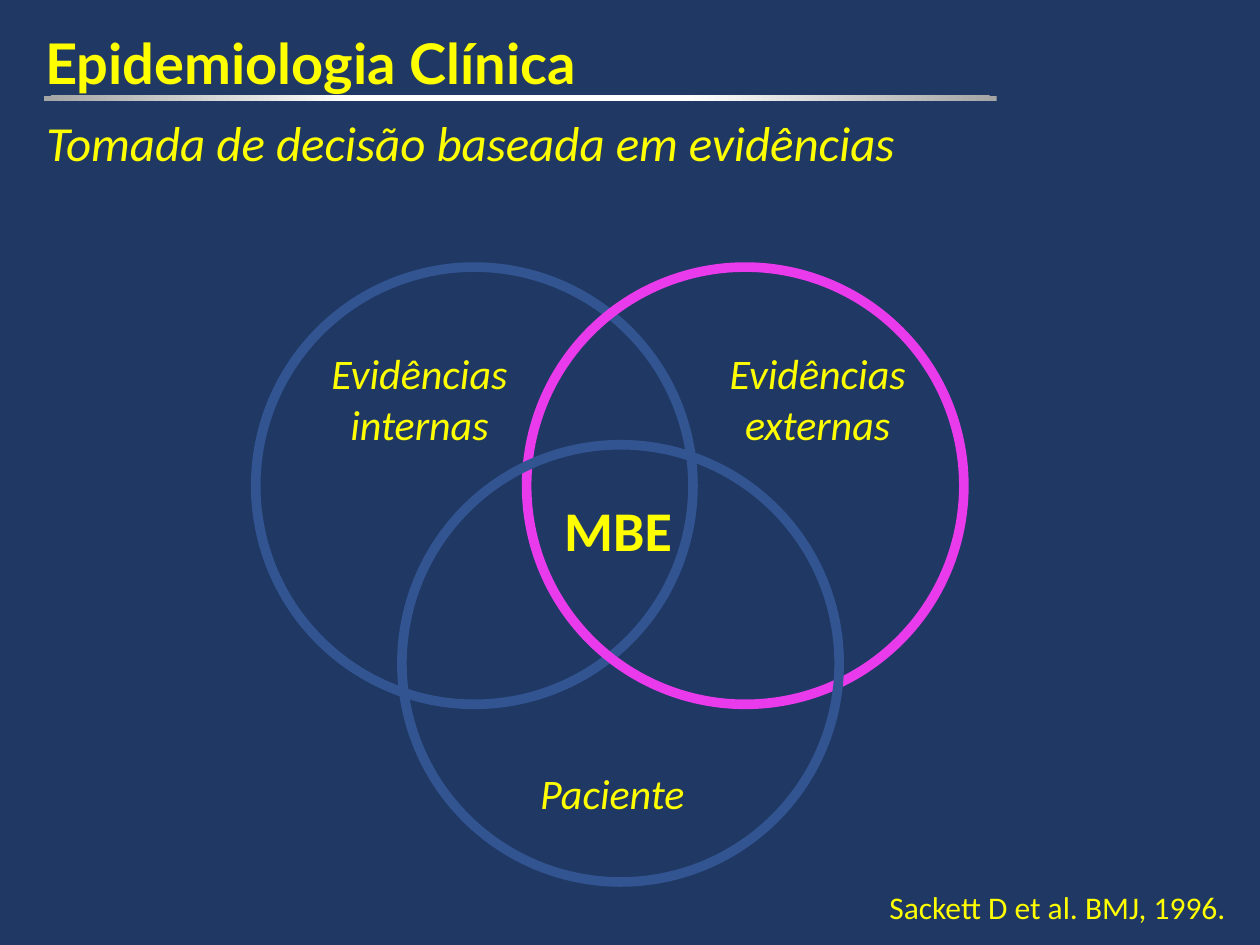
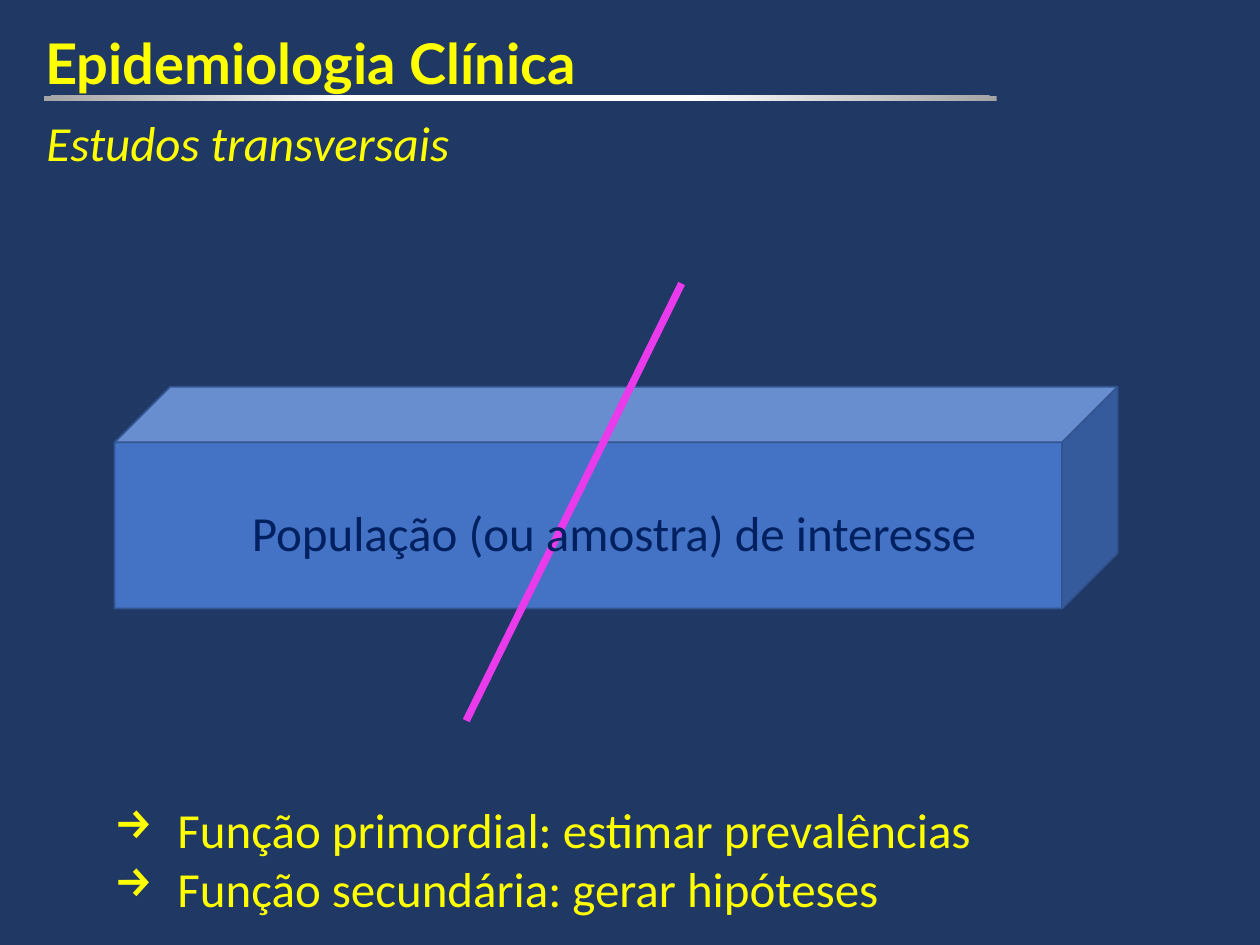
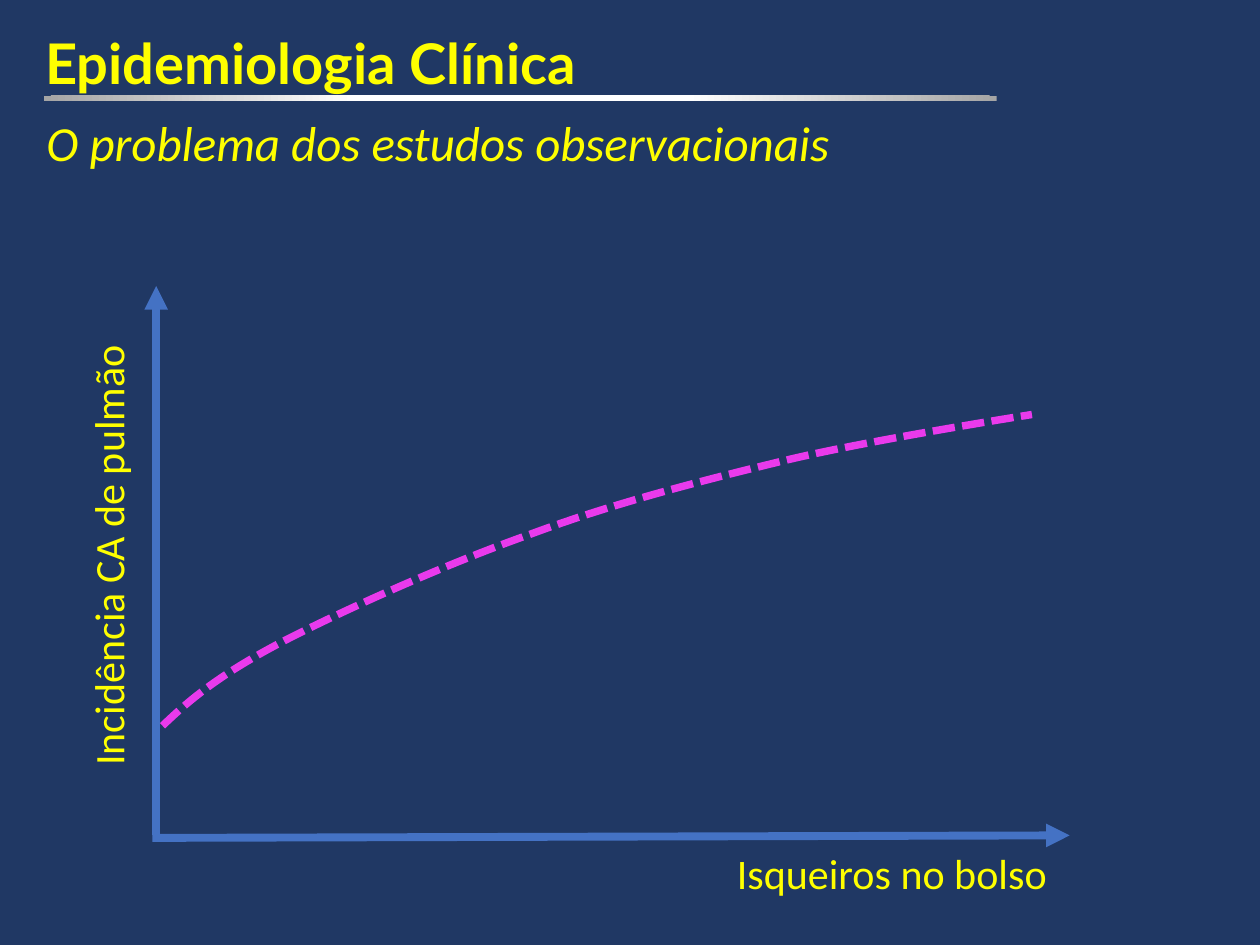
from lxml.etree import SubElement
from pptx import Presentation
from pptx.dml.color import RGBColor
from pptx.enum.dml import MSO_LINE
from pptx.enum.shapes import MSO_CONNECTOR, MSO_SHAPE
from pptx.enum.text import MSO_ANCHOR, MSO_AUTO_SIZE, PP_ALIGN
from pptx.oxml import parse_xml
from pptx.oxml.ns import nsdecls, qn
from pptx.util import Inches, Pt

COLORS = {
    "background": "203864",
    "text": "FFFF00",
    "outline": "325491",
    "accent": "E93AEC",
    "blue": "4472C4",
    "navy": "002060",
    "white": "FFFFFF",
    "gray": "A5A5A5",
}
TITLE_FONT, BODY_FONT = "Lato", "Calibri"
TITLE_ONLY = 5
COLUMNS = 100
COURSE = "Epidemiologia Clínica"


def rgb(name):
    return RGBColor.from_string(COLORS[name])


class Deck:
    def __init__(self):
        self.presentation = Presentation()
        self.presentation.slide_width = Inches(10)
        self.presentation.slide_height = Inches(7.5)
        self.cell = self.presentation.slide_width / COLUMNS
        backdrop = self.presentation.slide_master.background.fill
        backdrop.solid()
        backdrop.fore_color.rgb = rgb("background")
        self.slide = None

    def grid(self, *cells):
        return [round(cell * self.cell) for cell in cells]

    def start_slide(self, topic, topic_width):
        layout = self.presentation.slide_layouts[TITLE_ONLY]
        self.slide = self.presentation.slides.add_slide(layout)
        title = self.slide.shapes.title
        title.left, title.top, title.width, title.height = self.grid(2.6, 1.8, 97.3, 14.2)
        frame = title.text_frame
        frame.text = COURSE
        frame.auto_size = MSO_AUTO_SIZE.NONE
        frame.vertical_anchor = MSO_ANCHOR.TOP
        self.format_text(frame, 32, font=TITLE_FONT, bold=True)
        self.title_rule()
        self.text(topic, (2.7, 8.4, topic_width, 5.7), 28, italic=True)

    def title_rule(self):
        rule = self.shape(MSO_SHAPE.RECTANGLE, (3.5, 7.6, 75.6, 0.4))
        stops = "".join(
            f'<a:gs pos="{position}"><a:srgbClr val="{COLORS[color]}"/></a:gs>'
            for position, color in ((0, "white"), (35000, "white"), (100000, "gray"))
        )
        gradient = parse_xml(
            f'<a:gradFill {nsdecls("a")} rotWithShape="1"><a:gsLst>{stops}</a:gsLst>'
            '<a:path path="circle"><a:fillToRect l="50000" t="-80000" r="50000" b="180000"/>'
            "</a:path></a:gradFill>"
        )
        properties = rule._element.spPr
        properties.replace(properties.find(qn("a:noFill")), gradient)

    def format_text(self, frame, size, color="text", font=BODY_FONT,
                    bold=False, italic=False, align=PP_ALIGN.LEFT):
        for paragraph in frame.paragraphs:
            paragraph.alignment = align
            for run in paragraph.runs:
                run.font.name = font
                run.font.size = Pt(size)
                run.font.bold = bold
                run.font.italic = italic
                run.font.color.rgb = rgb(color)

    def text(self, words, area, size, rotation=0, bullet=None, **style):
        box = self.slide.shapes.add_textbox(*self.grid(*area))
        box.rotation = rotation
        frame = box.text_frame
        frame.text = words
        frame.word_wrap = False
        frame.auto_size = MSO_AUTO_SIZE.SHAPE_TO_FIT_TEXT
        if bullet:
            self.add_bullets(frame, bullet)
        self.format_text(frame, size, **style)

    def add_bullets(self, frame, bullet):
        indent = Inches(0.5)
        for paragraph in frame.paragraphs:
            properties = paragraph._p.get_or_add_pPr()
            properties.set("marL", str(indent))
            properties.set("indent", str(-indent))
            SubElement(properties, qn("a:buChar")).set("char", bullet)

    def format_line(self, line, color, width):
        line.color.rgb = rgb(color)
        line.width = Pt(width)

    def shape(self, kind, area, fill=None, outline=None, width=1):
        shape = self.slide.shapes.add_shape(kind, *self.grid(*area))
        shape.shadow.inherit = False
        if fill:
            shape.fill.solid()
            shape.fill.fore_color.rgb = rgb(fill)
        else:
            shape.fill.background()
        if outline:
            self.format_line(shape.line, outline, width)
        else:
            shape.line.fill.background()
        return shape

    def line(self, start, end, color, width, arrow=False):
        connector = self.slide.shapes.add_connector(
            MSO_CONNECTOR.STRAIGHT, *self.grid(*start, *end))
        self.format_line(connector.line, color, width)
        properties = connector._element.spPr
        if arrow:
            SubElement(properties.find(qn("a:ln")), qn("a:tailEnd")).set("type", "triangle")
        SubElement(properties, qn("a:effectLst"))

    def dashed_curve(self, points, color, width):
        start, *controls = [self.grid(*point) for point in points]
        builder = self.slide.shapes.build_freeform(*start)
        builder.add_line_segments(controls, close=False)
        curve = builder.convert_to_shape()
        segments = list(curve._element.iter(qn("a:lnTo")))
        for first in range(0, len(segments), 3):
            bezier = SubElement(segments[first].getparent(), qn("a:cubicBezTo"))
            for segment in segments[first:first + 3]:
                bezier.append(segment[0])
                segment.getparent().remove(segment)
        curve.shadow.inherit = False
        curve.fill.background()
        self.format_line(curve.line, color, width)
        curve.line.dash_style = MSO_LINE.SQUARE_DOT


def evidence_slide(deck):
    deck.start_slide("Tomada de decisão baseada em evidências", 70)
    diameter = 34.7
    for left, top, color in ((20.3, 21.2, "outline"),
                             (41.8, 21.2, "accent"),
                             (31.9, 35.3, "outline")):
        deck.shape(MSO_SHAPE.OVAL, (left, top, diameter, diameter), outline=color, width=5.5)
    for label, area in (("Evidências\ninternas", (24.8, 27.1, 17, 9.1)),
                        ("Paciente", (41.8, 60.4, 13.6, 5)),
                        ("Evidências\nexternas", (56.4, 27.1, 17, 9.1))):
        deck.text(label, area, 24, italic=True, align=PP_ALIGN.CENTER)
    deck.text("MBE", (43.8, 38.8, 10.7, 6.4), 32, bold=True)
    deck.text("Sackett D et al. BMJ, 1996.", (69.6, 70, 29.1, 4), 18)


def cross_sectional_slide(deck):
    deck.start_slide("Estudos transversais", 34.3)
    deck.shape(MSO_SHAPE.CUBE, (9.1, 30.7, 79.6, 17.6), fill="blue", outline="outline")
    deck.line((37, 57.2), (54.1, 22.5), "accent", 4.25)
    deck.text("População (ou amostra) de interesse", (19, 39.4, 60.1, 5.7), 28, color="navy")
    deck.text("Função primordial: estimar prevalências\nFunção secundária: gerar hipóteses",
              (8.1, 63, 70.7, 10.4), 28, bullet="→")


def observational_slide(deck):
    deck.start_slide("O problema dos estudos observacionais", 64.8)
    deck.line((12.4, 66.3), (12.4, 22.7), "blue", 4.5, arrow=True)
    deck.line((12.1, 66.5), (84.9, 66.3), "blue", 4.5, arrow=True)
    deck.text("Isqueiros no bolso", (57.5, 66.8, 26.8, 5), 24)
    deck.text("Incidência CA de pulmão", (-9.3, 41.4, 35.7, 5), 24, rotation=270)
    incidence = (
        (12.9, 57.6),
        (15, 55.6), (17.2, 53.7), (22.1, 51.1),
        (26.9, 48.6), (35.3, 44.8), (42.1, 42.4),
        (48.8, 39.9), (55.9, 38.1), (62.5, 36.5),
        (69.2, 34.9), (81.9, 32.9), (81.9, 32.9),
    )
    deck.dashed_curve(incidence, "accent", 4.25)


def main():
    deck = Deck()
    for build in (evidence_slide, cross_sectional_slide, observational_slide):
        build(deck)
    deck.presentation.save("out.pptx")


if __name__ == "__main__":
    main()
